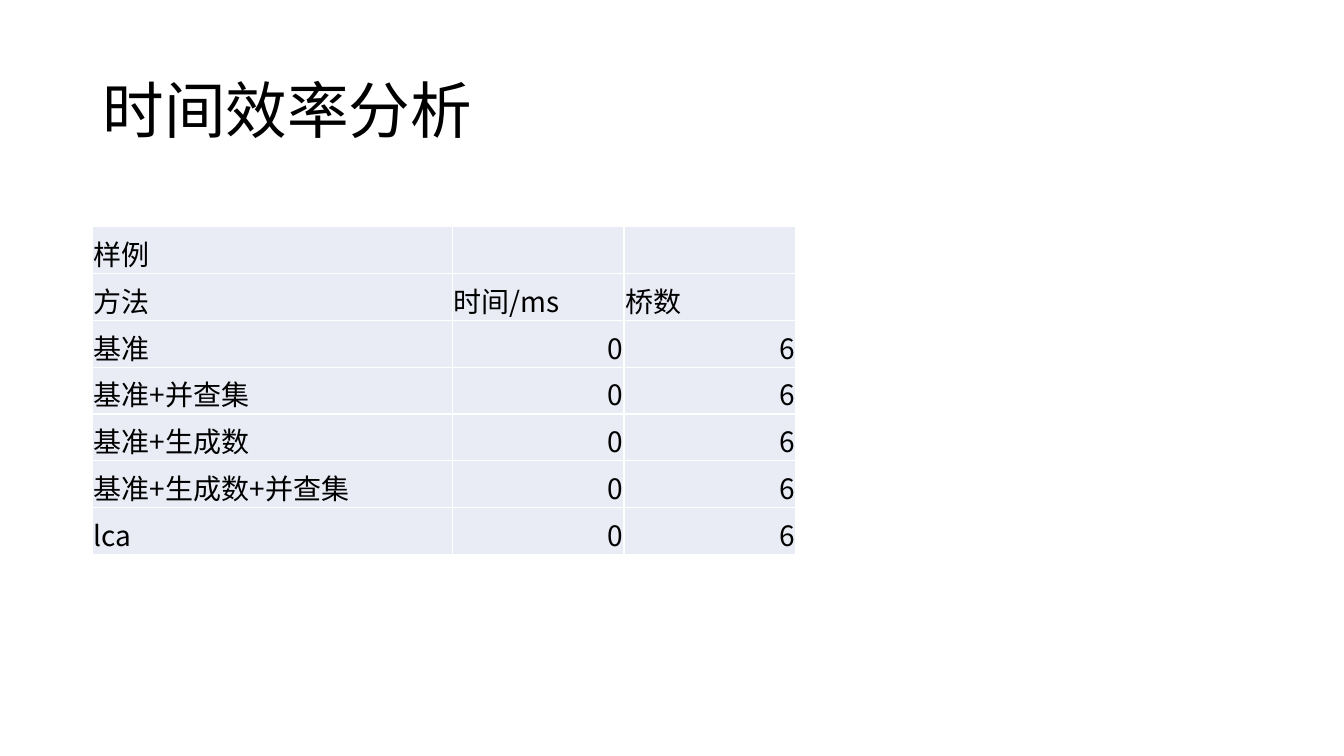
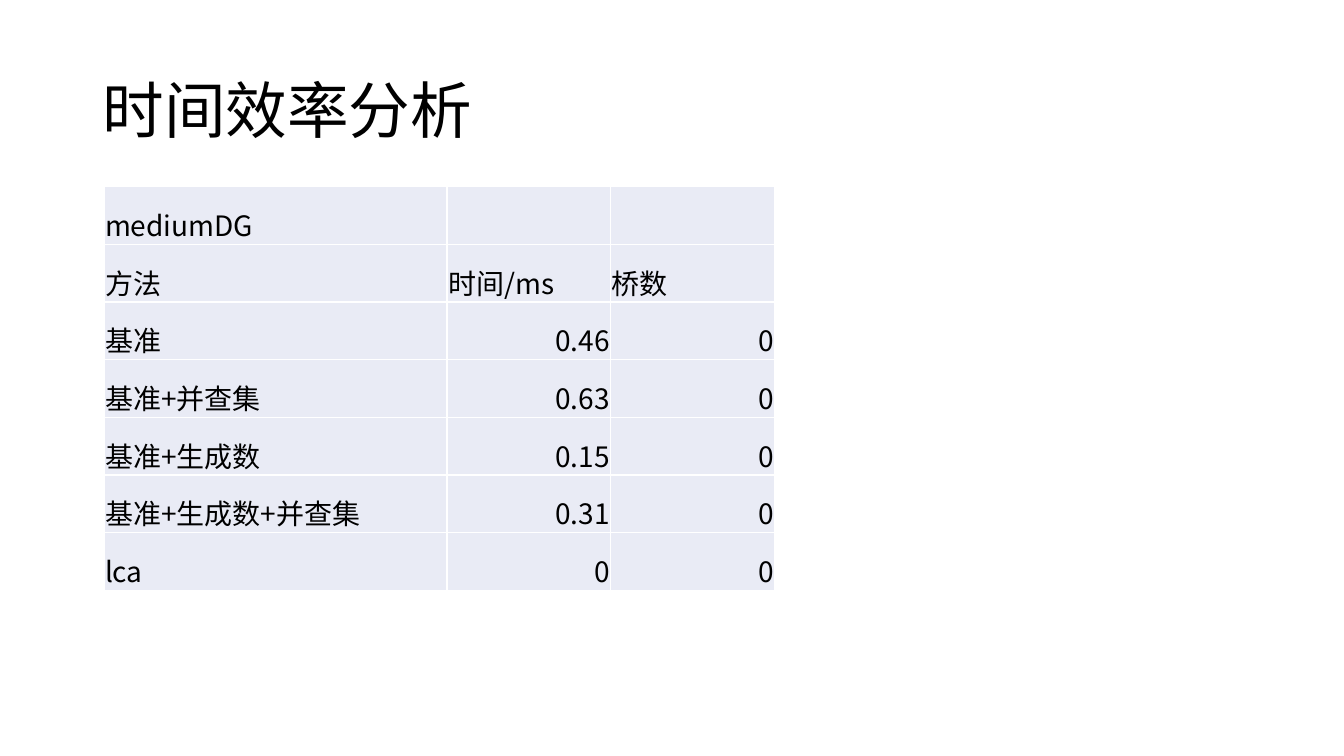
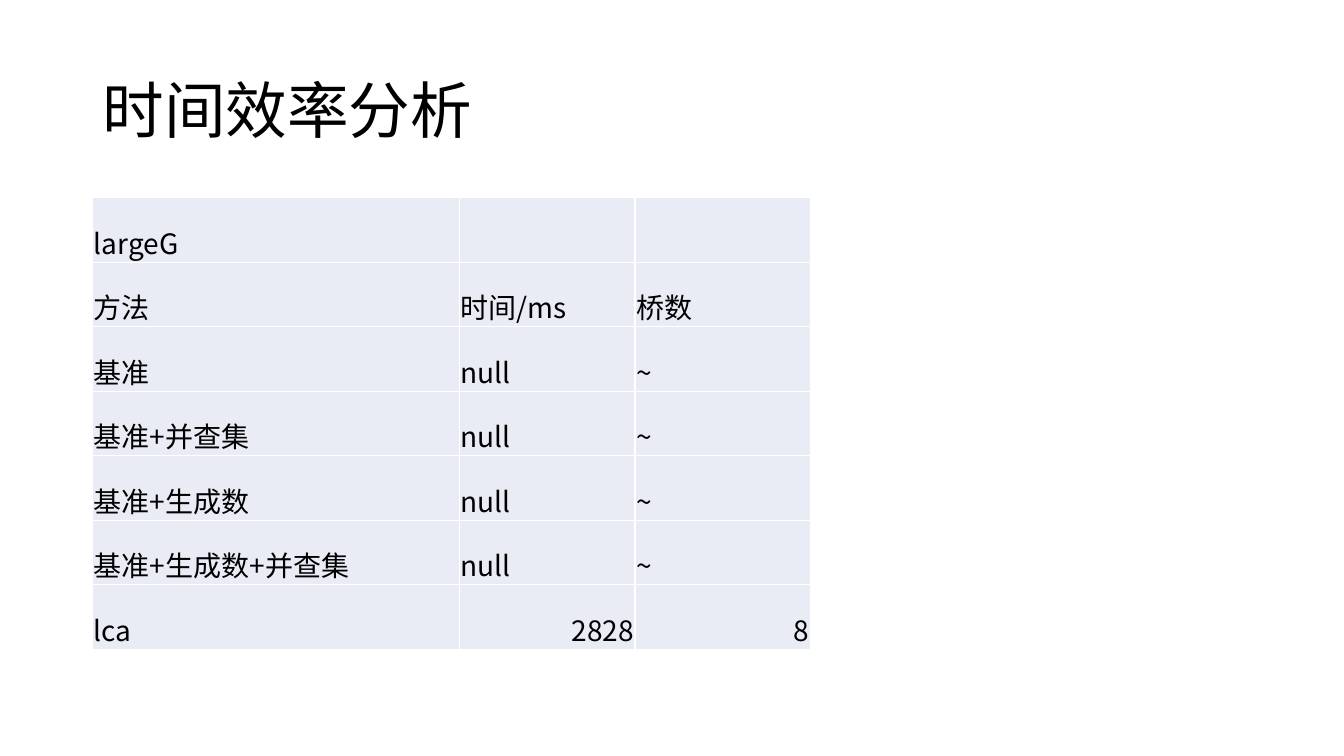
from lxml import etree
from pptx import Presentation
from pptx.dml.color import RGBColor
from pptx.enum import text
from pptx.oxml import ns
from pptx.util import Pt

TITLE = "时间效率分析"
HEADINGS = ("方法", "时间/ms", "桥数")
METHODS = ("基准", "基准+并查集", "基准+生成数", "基准+生成数+并查集", "lca")


def color(hex_code):
    return RGBColor.from_string(hex_code)


class TimingDeck:
    FONT = "Noto Sans CJK SC"
    INK, CELL, RULE = "000000", "E9EBF5", "FFFFFF"
    TITLE_SIZE, CELL_SIZE = 44, 20

    def __init__(self):
        self.deck = Presentation()
        self.deck.slide_width, self.deck.slide_height = Pt(960), Pt(540)
        self.page = None

    def add_page(self, title):
        self.page = self.deck.slides.add_slide(self.deck.slide_layouts[5])
        box = self.page.shapes.title
        box.left, box.top, box.width, box.height = Pt(66), Pt(28.75), Pt(828), Pt(104.4)
        box.text_frame.vertical_anchor = text.MSO_ANCHOR.MIDDLE
        para = box.text_frame.paragraphs[0]
        para.alignment = text.PP_ALIGN.LEFT
        para.line_spacing = 0.9
        self.add_span(para, title, self.TITLE_SIZE)

    def add_span(self, para, wording, size):
        span = para.add_run()
        span.text = wording
        span.font.size = Pt(size)
        span.font.name = self.FONT
        span.font.color.rgb = color(self.INK)
        east_asian = etree.SubElement(span.font._element, ns.qn("a:ea"))
        east_asian.set("typeface", self.FONT)

    def add_table(self, left, top, widths, row_height, rows):
        frame = self.page.shapes.add_table(
            len(rows), len(widths), Pt(left), Pt(top),
            Pt(sum(widths)), Pt(row_height * len(rows)))
        table = frame.table
        table.first_row = table.horz_banding = False
        for column, width in zip(table.columns, widths):
            column.width = Pt(width)
        for r, values in enumerate(rows):
            table.rows[r].height = Pt(row_height)
            for c, value in enumerate(values):
                self.format_cell(table.cell(r, c), value)

    def format_cell(self, cell, value):
        """Style a cell; numbers go right, words go left, None stays empty."""
        cell.margin_left = cell.margin_right = cell.margin_top = Pt(0.75)
        cell.margin_bottom = Pt(0)
        cell.vertical_anchor = text.MSO_ANCHOR.BOTTOM
        self.add_borders(cell)
        cell.fill.solid()
        cell.fill.fore_color.rgb = color(self.CELL)
        if value is None:
            return
        para = cell.text_frame.paragraphs[0]
        is_word = isinstance(value, str)
        para.alignment = text.PP_ALIGN.LEFT if is_word else text.PP_ALIGN.RIGHT
        self.add_span(para, str(value), self.CELL_SIZE)

    def add_borders(self, cell):
        properties = cell._tc.get_or_add_tcPr()
        for side in ("lnL", "lnR", "lnT", "lnB"):
            line = etree.SubElement(properties, ns.qn(f"a:{side}"), w=str(Pt(1)))
            fill = etree.SubElement(line, ns.qn("a:solidFill"))
            etree.SubElement(fill, ns.qn("a:srgbClr"), val=self.RULE)

    def add_timing_page(self, sample, times, bridges, **placement):
        self.add_page(TITLE)
        rows = [(sample, None, None), HEADINGS, *zip(METHODS, times, bridges)]
        self.add_table(rows=rows, **placement)


def main():
    timing = TimingDeck()
    timing.add_timing_page(
        "样例", [0] * 5, [6] * 5,
        left=66.3, top=162, widths=(257, 122.5, 122.5), row_height=33.43)
    timing.add_timing_page(
        "mediumDG", [0.46, 0.63, 0.15, 0.31, 0], [0] * 5,
        left=74.3, top=133.4, widths=(245, 117, 117), row_height=41.2)
    timing.add_timing_page(
        "largeG", ["null"] * 4 + [2828], ["~"] * 4 + [8],
        left=66.3, top=141.3, widths=(262, 125.3, 125.3), row_height=46.08)
    timing.deck.save("out.pptx")


if __name__ == "__main__":
    main()
